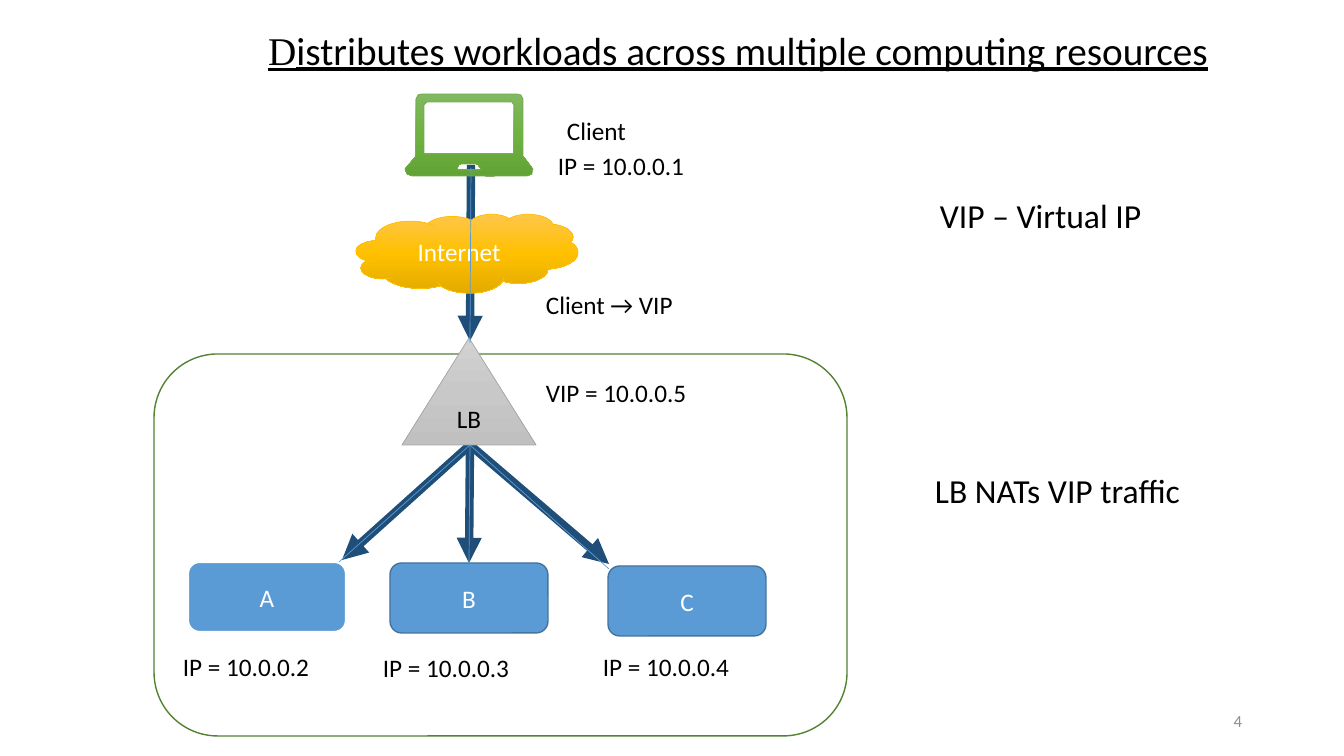
from copy import deepcopy
from dataclasses import dataclass

from lxml import etree
from pptx import Presentation, util as u
from pptx.dml import color
from pptx.enum import shapes, text
from pptx.oxml import ns

PX = 914400 / 100.8
FONT = "Calibri"
COLOURS = {
    "black": "000000", "white": "FFFFFF", "number": "8C8C8C",
    "arrow": "1F4E79", "server": "5B9BD5", "server_edge": "43739E",
    "green": "70AD47", "green_edge": "538035", "frame": "548235",
    "amber": "FFC000", "grey": "A5A5A5",
}
GRADIENTS = {
    "cloud": ("FFC64B", "FFC000", "E3AB00"),
    "balancer": ("D2D2D2", "C8C8C8", "C0C0C0"),
    "laptop": ("81B861", "6FB242", "62A336"),
}
Point = tuple[int, int]
KIND = shapes.MSO_SHAPE
ALIGN = text.PP_ALIGN


@dataclass
class Box:
    kind: KIND
    left: int
    top: int
    width: int
    height: int
    fill: str
    edge: str
    weight: float
    caption: str = ""
    ink: str = "white"


@dataclass
class Label:
    wording: str
    left: int
    top: int
    width: int
    height: int = 40
    size: int = 18


@dataclass
class Route:
    start: Point
    end: Point


CLIENT_ROUTE = Route((471, 165), (470, 341))
SERVER_ROUTES = {
    "C": Route((470, 445), (609, 564)),
    "B": Route((470, 445), (469, 563)),
    "A": Route((470, 445), (342, 560)),
}
THIN_ROUTES = {
    "C": Route((470, 445), (609, 569)),
    "B": Route((470, 445), (469, 563)),
    "A": Route((470, 445), (339, 562)),
    "client": Route((471, 168), (470, 343)),
}
TOUCHPAD = Box(KIND.FLOWCHART_PREPARATION, 483, 158, 14, 18, "green", "green_edge", 1)
FRAME = Box(KIND.ROUNDED_RECTANGLE, 154, 354, 693, 382, "", "frame", 1)
BALANCER = Box(KIND.ISOSCELES_TRIANGLE, 402, 338, 134, 107, "balancer", "grey", 0.5, "LB", "black")
INTERNET = Box(KIND.CLOUD, 356, 214, 222, 79, "cloud", "amber", 0.5, "Internet")
SERVERS = [
    Box(KIND.ROUNDED_RECTANGLE, 188, 562, 158, 70, "server", "white", 1.5, "A"),
    Box(KIND.ROUNDED_RECTANGLE, 390, 563, 158, 70, "server", "server_edge", 1, "B"),
    Box(KIND.ROUNDED_RECTANGLE, 608, 566, 158, 70, "server", "server_edge", 1, "C"),
]
LABELS = [
    Label("VIP – Virtual IP", 930, 190, 224, 50, 24),
    Label("LB NATs VIP traffic", 925, 465, 268, 50, 24),
    Label("IP = 10.0.0.2", 173, 646, 148),
    Label("IP = 10.0.0.3", 373, 647, 148),
    Label("IP = 10.0.0.4", 593, 646, 148),
    Label("Client → VIP", 536, 284, 150),
    Label("VIP = 10.0.0.5", 536, 372, 162),
    Label("Client", 557, 110, 80),
    Label("IP = 10.0.0.1", 548, 145, 148),
]
LAPTOP_OUTLINES: list[list[Point]] = [
    [(523, 156), (523, 99), (521, 95), (517, 94), (421, 94), (418, 95), (416, 99),
     (416, 156), (405, 169), (407, 174), (412, 176), (527, 176), (532, 174), (533, 169)],
    [(479, 170), (459, 170), (457, 169), (459, 165), (461, 164), (476, 164),
     (478, 165), (481, 169)],
    [(514, 154), (424, 154), (424, 105), (427, 102), (512, 102), (514, 105)],
]


def emu(*lengths: int) -> list[u.Emu]:
    return [u.Emu(round(length * PX)) for length in lengths]


def rgb(name: str) -> color.RGBColor:
    return color.RGBColor.from_string(COLOURS[name])


def style_run(run, size: int, ink: str, font: str = FONT) -> None:
    run.font.size = u.Pt(size)
    run.font.name = font
    run.font.color.rgb = rgb(ink)


def paint(shape, fill: str, edge: str, weight: float) -> None:
    shape.shadow.inherit = False
    shape.line.color.rgb = rgb(edge)
    shape.line.width = u.Pt(weight)
    if not fill:
        shape.fill.background()
    elif fill in GRADIENTS:
        shape.fill.gradient()
        shape.fill.gradient_angle = 270
        stop_list = shape._element.spPr.find(".//" + ns.qn("a:gsLst"))
        stop_list.insert(1, deepcopy(stop_list[0]))
        for index, (stop, tone) in enumerate(zip(shape.fill.gradient_stops, GRADIENTS[fill])):
            stop.position = index / 2
            stop.color.rgb = color.RGBColor.from_string(tone)
    else:
        shape.fill.solid()
        shape.fill.fore_color.rgb = rgb(fill)


def draw_box(slide, box: Box):
    shape = slide.shapes.add_shape(box.kind, *emu(box.left, box.top, box.width, box.height))
    paint(shape, box.fill, box.edge, box.weight)
    if box.caption:
        frame = shape.text_frame
        frame.text = box.caption
        frame.vertical_anchor = text.MSO_ANCHOR.MIDDLE
        frame.paragraphs[0].alignment = ALIGN.CENTER
        style_run(frame.paragraphs[0].runs[0], 18, box.ink)
    return shape


def draw_route(slide, route: Route, ink: str, weight: float, arrow: bool):
    line = slide.shapes.add_connector(
        shapes.MSO_CONNECTOR.STRAIGHT, *emu(*route.start, *route.end))
    line.line.color.rgb = rgb(ink)
    line.line.width = u.Pt(weight)
    properties = line._element.spPr
    if arrow:
        etree.SubElement(properties.find(ns.qn("a:ln")), ns.qn("a:tailEnd"), type="triangle")
    etree.SubElement(properties, ns.qn("a:effectLst"))
    return line


def draw_label(slide, label: Label, wrap: bool = False, ink: str = "black"):
    frame = slide.shapes.add_textbox(
        *emu(label.left, label.top, label.width, label.height)).text_frame
    frame.word_wrap = wrap
    frame.text = label.wording
    style_run(frame.paragraphs[0].runs[0], label.size, ink)
    return frame


def draw_laptop(slide) -> None:
    first, *cutouts = LAPTOP_OUTLINES
    builder = slide.shapes.build_freeform(*first[0], scale=PX)
    builder.add_line_segments(first[1:])
    for cutout in cutouts:
        builder.move_to(*cutout[0])
        builder.add_line_segments(cutout[1:])
    paint(builder.convert_to_shape(), "laptop", "green", 0.5)


def draw_title(slide) -> None:
    title = draw_label(slide, Label("D", 169, 21, 1138, 57, 28), wrap=True).paragraphs[0]
    title.alignment = ALIGN.CENTER
    rest = title.add_run()
    rest.text = "istributes workloads across multiple computing resources"
    style_run(rest, 28, "black")
    title.runs[0].font.name = "Times New Roman"
    for run in title.runs:
        run.font.underline = True


def main() -> None:
    deck = Presentation()
    deck.slide_width, deck.slide_height = emu(1344, 756)
    slide = deck.slides.add_slide(deck.slide_layouts[6])

    draw_route(slide, CLIENT_ROUTE, "arrow", 6, True)
    draw_box(slide, TOUCHPAD)
    arrows = {name: draw_route(slide, route, "arrow", 6, True)
              for name, route in SERVER_ROUTES.items()}
    draw_box(slide, FRAME)
    servers = {server.caption: draw_box(slide, server) for server in SERVERS}
    draw_box(slide, BALANCER)
    draw_box(slide, INTERNET)
    draw_laptop(slide)
    for label in LABELS:
        draw_label(slide, label)
    draw_title(slide)
    number = draw_label(slide, Label("4", 950, 701, 302, 40, 12), wrap=True, ink="number")
    number.vertical_anchor = text.MSO_ANCHOR.MIDDLE
    number.paragraphs[0].alignment = ALIGN.RIGHT
    threads = {name: draw_route(slide, route, "server", 0.5, False)
               for name, route in THIN_ROUTES.items()}
    for line in (arrows["B"], threads["B"]):
        line.end_connect(servers["B"], 0)

    deck.save("out.pptx")


if __name__ == "__main__":
    main()
